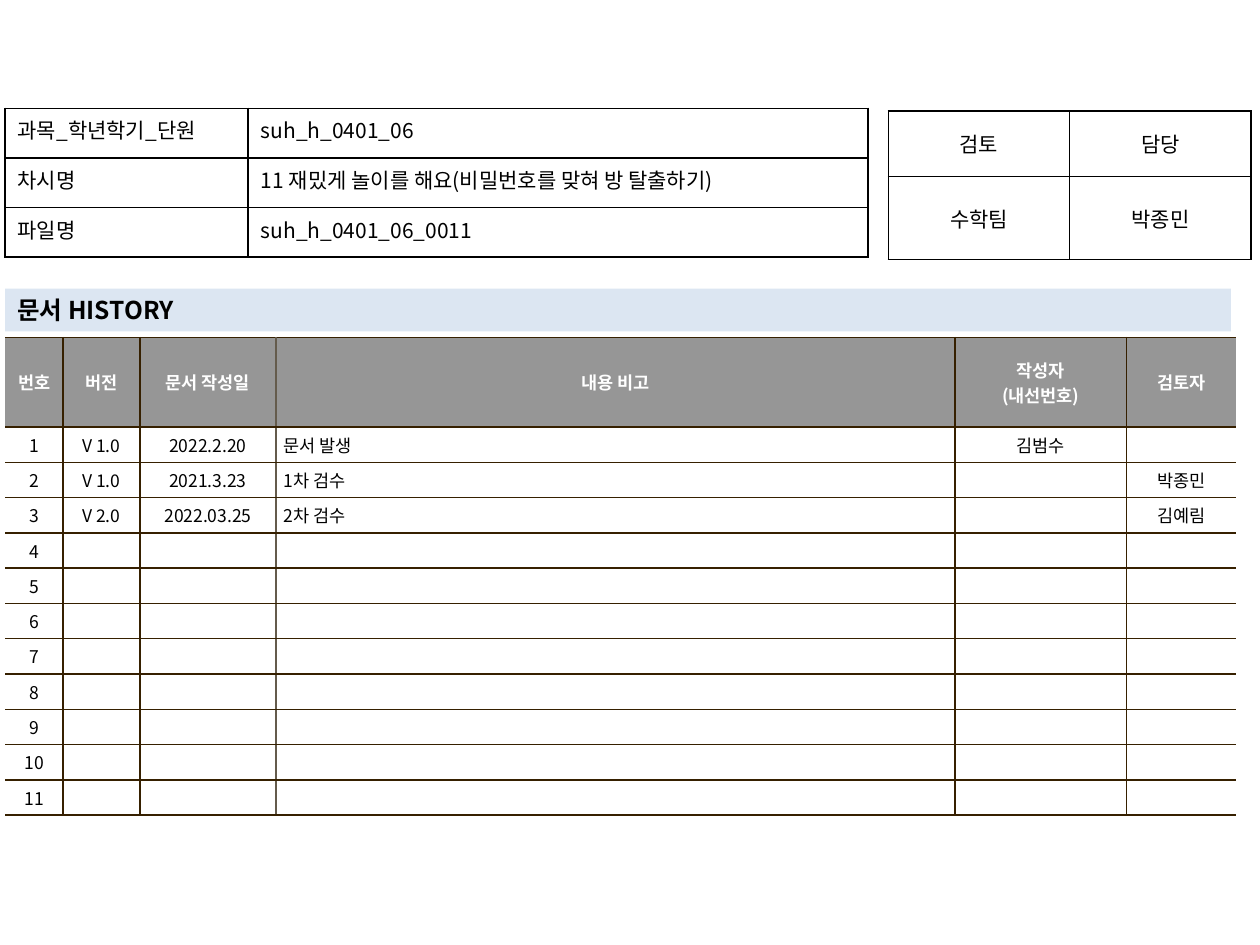
from dataclasses import dataclass

from lxml import etree
from pptx import Presentation
from pptx import util as u
from pptx.dml.color import RGBColor
from pptx.enum import shapes, text
from pptx.oxml.ns import qn


@dataclass(frozen=True)
class Theme:
    face: str = "Noto Sans CJK KR"
    ink: str = "000000"
    paper: str = "FFFFFF"
    header: str = "969696"
    band: str = "DCE6F2"
    rule: str = "362000"
    soft_rule: str = "645B4C"
    title_size: int = 14
    form_size: int = 12
    history_size: int = 10


LEFT, CENTER, JUSTIFY = (text.PP_ALIGN.LEFT, text.PP_ALIGN.CENTER,
                         text.PP_ALIGN.JUSTIFY)


class Sheet:
    """A slide laid out on a grid of 100 columns by 75 rows."""

    def __init__(self, deck, theme):
        self.theme = theme
        self.slide = deck.slides.add_slide(deck.slide_layouts[6])
        self.column = deck.slide_width / 100
        self.row = deck.slide_height / 75

    def x(self, columns):
        return u.Emu(round(columns * self.column))

    def y(self, rows):
        return u.Emu(round(rows * self.row))

    def set_words(self, frame, words, size, color, bold=False, align=LEFT):
        frame.text = words
        for paragraph in frame.paragraphs:
            paragraph.alignment = align
            font = paragraph.font
            font.size, font.bold, font.name = u.Pt(size), bold, self.theme.face
            font.color.rgb = RGBColor.from_string(color)
            etree.SubElement(font._element, qn("a:ea"), typeface=self.theme.face)
            if not words:  # an empty line takes its height from the end mark
                end = etree.SubElement(paragraph._p, qn("a:endParaRPr"))
                end.set("sz", str(size * 100))

    def band(self, left, top, width, height, words):
        bar = self.slide.shapes.add_shape(
            shapes.MSO_SHAPE.RECTANGLE, self.x(left), self.y(top),
            self.x(width), self.y(height))
        bar.shadow.inherit = False
        bar.fill.solid()
        bar.fill.fore_color.rgb = RGBColor.from_string(self.theme.band)
        bar.line.fill.background()
        bar.text_frame.word_wrap = True
        self.set_words(bar.text_frame, words, self.theme.title_size,
                       self.theme.ink, bold=True)

    def table(self, left, top, widths, heights, rows, style_cell):
        grid = self.slide.shapes.add_table(
            len(heights), len(widths), self.x(left), self.y(top),
            self.x(sum(widths)), self.y(sum(heights))).table
        grid.first_row = grid.horz_banding = False
        for column, width in zip(grid.columns, widths):
            column.width = self.x(width)
        for row, height in zip(grid.rows, heights):
            row.height = self.y(height)
        for r, row in enumerate(rows):
            for c, words in enumerate(row):
                style_cell(grid.cell(r, c), r, c, words)

    def borders(self, cell, left, right, level):
        """Rule a cell; a side whose colour is None stays open."""
        properties = cell._tc.get_or_add_tcPr()
        sides = zip(("lnL", "lnR", "lnT", "lnB"), (left, right, level, level))
        for place, (side, color) in enumerate(sides):
            line = etree.Element(qn(f"a:{side}"), w=str(u.Pt(1)))
            if color:
                fill = etree.SubElement(line, qn("a:solidFill"))
                etree.SubElement(fill, qn("a:srgbClr"), val=color)
            else:
                etree.SubElement(line, qn("a:noFill"))
            properties.insert(place, line)

    def form(self, left, top, widths, heights, rows, aligns, anchor):
        ink = self.theme.ink

        def style_cell(cell, r, c, words):
            cell.fill.background()
            cell.vertical_anchor = anchor
            self.set_words(cell.text_frame, words, self.theme.form_size, ink,
                           align=aligns[c])
            self.borders(cell, ink, ink, ink)

        self.table(left, top, widths, heights, rows, style_cell)

    def history(self, left, top, widths, heights, rows, note_column):
        theme = self.theme
        rules = [None] + [theme.rule] * (len(widths) - 1) + [None]
        rules[note_column] = theme.soft_rule

        def style_cell(cell, r, c, words):
            head = r == 0
            is_note = c == note_column and not head
            cell.fill.solid()
            cell.fill.fore_color.rgb = RGBColor.from_string(
                theme.header if head else theme.paper)
            cell.vertical_anchor = text.MSO_ANCHOR.MIDDLE
            cell.margin_left = cell.margin_right = u.Inches(0.06)
            cell.margin_top = cell.margin_bottom = u.Inches(0.04)
            self.set_words(cell.text_frame, words, theme.history_size,
                           theme.paper if head else theme.ink, bold=head,
                           align=LEFT if is_note else CENTER)
            if is_note:
                hanging = cell.text_frame.paragraphs[0]._p.get_or_add_pPr()
                hanging.set("marL", str(u.Inches(0.19)))
                hanging.set("indent", str(-u.Inches(0.19)))
            self.borders(cell, rules[c], rules[c + 1], theme.rule)

        self.table(left, top, widths, heights, rows, style_cell)


HEADINGS = ("번호", "버전", "문서 작성일", "내용 비고", "작성자\n(내선번호)", "검토자")
REVISIONS = (
    ("V 1.0", "2022.2.20", "문서 발생", "김범수", ""),
    ("V 1.0", "2021.3.23", "1차 검수", "", "박종민"),
    ("V 2.0", "2022.03.25", "2차 검수", "", "김예림"),
)
LINES = 11
LESSON = (
    ("과목_학년학기_단원", "suh_h_0401_06"),
    ("차시명", "11 재밌게 놀이를 해요(비밀번호를 맞혀 방 탈출하기)"),
    ("파일명", "suh_h_0401_06_0011"),
)
APPROVAL = (("검토", "담당"), ("수학팀", "박종민"))


def main():
    deck = Presentation()
    deck.slide_width, deck.slide_height = u.Inches(10), u.Inches(7.5)
    sheet = Sheet(deck, Theme())

    unused = [("",) * (len(HEADINGS) - 1)] * (LINES - len(REVISIONS))
    entries = [(str(number), *entry)
               for number, entry in enumerate([*REVISIONS, *unused], 1)]
    sheet.history(0.4, 26.8, (4.6, 6.1, 10.8, 53.9, 13.6, 8.7),
                  [7.1] + [2.5] * LINES, [HEADINGS, *entries],
                  note_column=HEADINGS.index("내용 비고"))
    sheet.form(70.5, 8.8, (14.4, 14.4), (5.2, 6.6), APPROVAL,
               (CENTER, CENTER), text.MSO_ANCHOR.MIDDLE)
    sheet.band(0.4, 22.9, 97.3, 3.4, "문서 HISTORY")
    sheet.form(0.4, 8.6, (19.3, 49.2), [3.94] * len(LESSON), LESSON,
               (JUSTIFY, LEFT), text.MSO_ANCHOR.TOP)
    deck.save("out.pptx")


if __name__ == "__main__":
    main()
